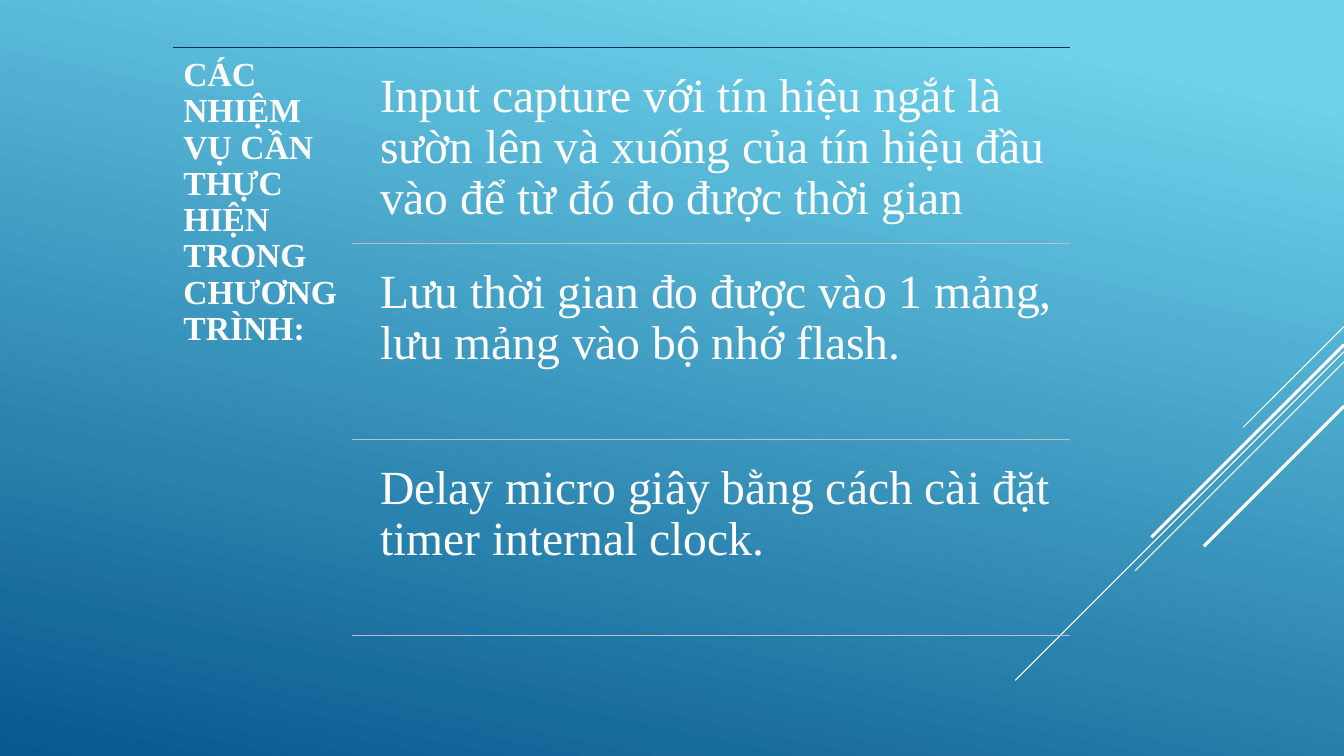
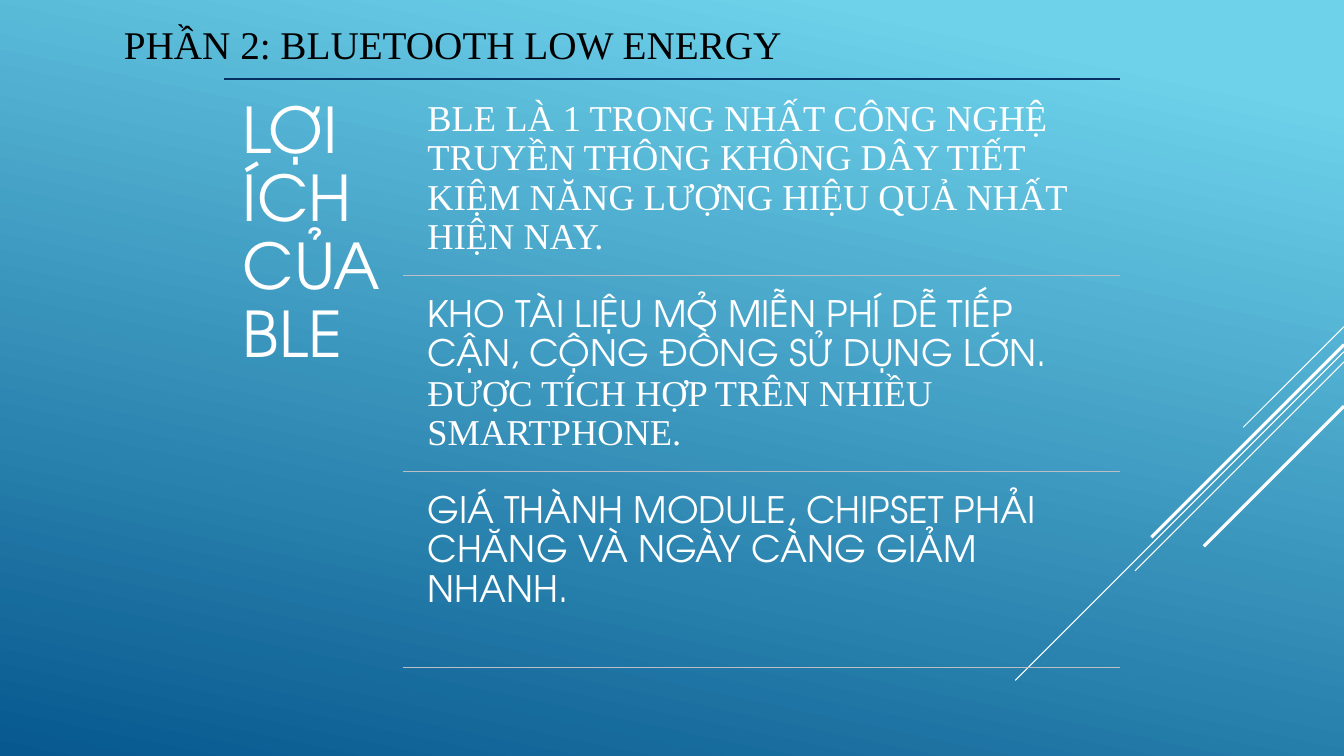
"""Two slides with a side title and ruled rows on a blue gradient."""
from pptx import Presentation
from pptx.dml.color import RGBColor
from pptx.enum.shapes import MSO_CONNECTOR
from pptx.enum.text import MSO_ANCHOR, MSO_AUTO_SIZE
from pptx.oxml.ns import qn
from pptx.util import Inches, Pt
from lxml import etree

LINE = MSO_CONNECTOR.STRAIGHT
TOP = MSO_ANCHOR.TOP
GROW = MSO_AUTO_SIZE.SHAPE_TO_FIT_TEXT
NONE = MSO_AUTO_SIZE.NONE

HUES = {"sky": "6ED2EB", "deep": "06588E", "white": "FFFFFF",
        "navy": "052F61", "grey": "BDBEC5", "black": "000000"}
SERIF = "Times New Roman"
SANS = "TeX Gyre Adventor"
RAYS = [(43.2, 7.5, 0.75), (46.53, 24.46, 0.75), (47.87, 15.55, 0.75),
        (45.6, 14.33, 2.25), (53.73, 10.43, 2.25)]


class Deck:
    """Shared style and current slide; lengths are percent of the slide."""

    def __init__(self):
        self.show = Presentation()
        self.show.slide_width = Inches(13.33)
        self.show.slide_height = Inches(7.5)
        self.slide = None

    def wide(self, part):
        return round(self.show.slide_width * part / 100)

    def high(self, part):
        return round(self.show.slide_height * part / 100)

    def hue(self, name):
        return RGBColor.from_string(HUES[name])

    def page(self):
        self.slide = self.show.slides.add_slide(self.show.slide_layouts[6])
        fill = self.slide.background.fill
        fill.gradient()
        fill.gradient_angle = 258
        for stop, name, place in zip(fill.gradient_stops, ("sky", "deep"), (0.1, 1)):
            stop.color.rgb = self.hue(name)
            stop.position = place
        ratio = self.show.slide_width / self.show.slide_height
        for top, run, weight in RAYS:
            self.line(100, top, 100 - run, top + run * ratio, "white", weight)

    def line(self, x1, y1, x2, y2, name, weight=1.25):
        rule = self.slide.shapes.add_connector(
            LINE, self.wide(x1), self.high(y1), self.wide(x2), self.high(y2))
        rule.line.color.rgb = self.hue(name)
        rule.line.width = Pt(weight)
        etree.SubElement(rule.element.spPr, qn("a:effectLst"))

    def text(self, x, y, width, height, runs, size, pad=None, name="white",
             bold=False, fit=NONE, space=0.9):
        box = self.slide.shapes.add_textbox(
            self.wide(x), self.high(y), self.wide(width), self.high(height))
        frame = box.text_frame
        frame.word_wrap = True
        frame.auto_size = fit
        frame.vertical_anchor = TOP
        if pad is not None:
            frame.margin_left = frame.margin_right = self.wide(pad)
            frame.margin_top = frame.margin_bottom = self.wide(pad)
        para = frame.paragraphs[0]
        para.line_spacing = space
        for words, face in runs:
            run = para.add_run()
            run.text = words
            run.font.name = face
            run.font.size = Pt(size)
            run.font.bold = bold
            run.font.color.rgb = self.hue(name)

    def panel(self, x, y, title, rows, size, pad):
        """Draw a side title and equal rows, each with a rule below."""
        end, step = x + 66.69, 25.93
        self.line(x, y, end, y, "navy")
        self.text(x, y, 13.35, 79.07, **title)
        for place, runs in enumerate(rows):
            top = y + place * step
            self.text(x + 14.33, top + 1.27, 52.36, 24.67, runs, size, pad)
            self.line(x + 13.3, top + step, end, top + step, "grey")


deck = Deck()

deck.page()
deck.panel(
    12.9, 6.27,
    {"runs": [("CÁC NHIỆM VỤ CẦN THỰC HIỆN TRONG CHƯƠNG TRÌNH:", SERIF)],
     "size": 24, "pad": 0.75, "bold": True},
    [[("Input capture với tín hiệu ngắt là sườn lên và xuống của tín hiệu "
       "đầu vào để từ đó đo được thời gian", SERIF)],
     [("Lưu thời gian đo được vào 1 mảng, lưu mảng vào bộ nhớ flash.", SERIF)],
     [("Delay micro giây bằng cách cài đặt timer internal clock.", SERIF)]],
    34, 1.05)

deck.page()
deck.panel(
    16.65, 10.5,
    {"runs": [("LỢI ÍCH CỦA BLE", SANS)], "size": 45, "pad": 1.43},
    [[("BLE LÀ 1 TRONG NHẤT CÔNG NGHỆ TRUYỀN THÔNG KHÔNG DÂY TIẾT KIỆM "
       "NĂNG LƯỢNG HIỆU QUẢ NHẤT HIỆN NAY.", SERIF)],
     [("KHO TÀI LIỆU MỞ MIỄN PHÍ DỄ TIẾP CẬN, CỘNG ĐỒNG SỬ DỤNG LỚN. ", SANS),
      ("ĐƯỢC TÍCH HỢP TRÊN NHIỀU SMARTPHONE.", SERIF)],
     [("GIÁ THÀNH MODULE, CHIPSET PHẢI CHĂNG VÀ NGÀY CÀNG GIẢM NHANH.", SANS)]],
    26, 0.83)
deck.text(8.48, 2, 60.24, 7.6, [("PHẦN 2: BLUETOOTH LOW ENERGY", SERIF)], 28,
          name="black", fit=GROW, space=1)

deck.show.save("out.pptx")
